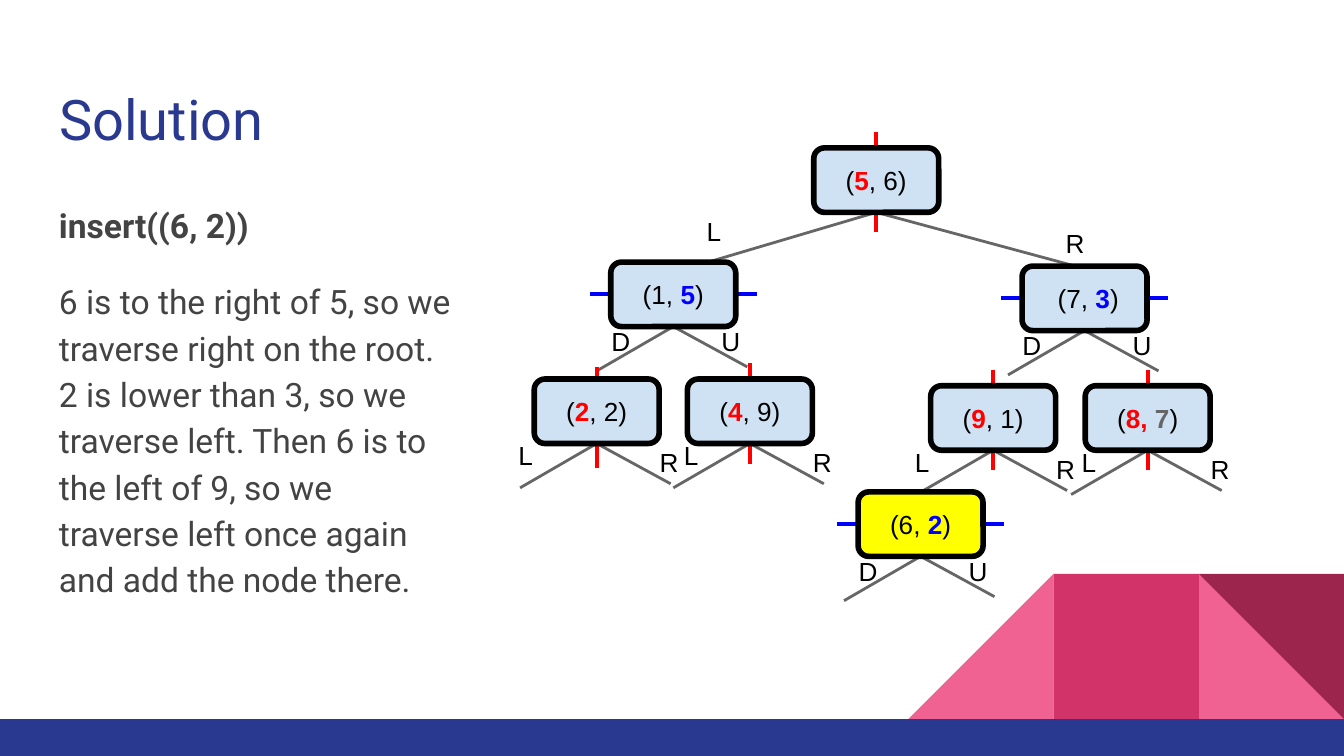
"""Build a slide that shows inserting a point into a k-d tree."""
from dataclasses import dataclass

from lxml.etree import SubElement
from pptx import Presentation
from pptx.dml.color import RGBColor
from pptx.enum.shapes import MSO_CONNECTOR, MSO_SHAPE
from pptx.enum.text import MSO_ANCHOR, MSO_AUTO_SIZE, PP_ALIGN
from pptx.oxml.ns import qn
from pptx.util import Inches, Pt


@dataclass(frozen=True)
class Theme:
    heading_font: str = "Roboto"
    tree_font: str = "Arial"
    heading_size: int = 30
    body_size: int = 18
    tree_size: int = 14
    navy: str = "2A3990"
    body: str = "434343"
    pink: str = "F06292"
    rose: str = "D23369"
    wine: str = "9C254D"
    ink: str = "000000"
    red: str = "FF0000"
    blue: str = "0000FF"
    gray: str = "666666"
    pale: str = "CFE2F3"
    yellow: str = "FFFF00"


@dataclass(frozen=True)
class Node:
    center: float
    top: float
    split: str
    point: tuple
    fill: str = Theme.pale
    left_caption: float = -0.68
    drop: float = 0


THEME = Theme()
WIDTH, HEIGHT = 10, 5.625
NODE_W, NODE_H = 0.93, 0.48
INSET = 0.1
CAPTION_W, CAPTION_H = 0.57, 0.33
TILE, FOOTER_TOP = 1.08, 5.35

TITLE = "Solution"
CALL = "insert((6, 2))"
EXPLANATION = (
    "6 is to the right of 5, so we traverse right on the root. "
    "2 is lower than 3, so we traverse left. Then 6 is to the left of 9, "
    "so we traverse left once again and add the node there."
)
NODES = [
    Node(6.52, 1.1, "root", (("(", "ink"), ("5", "red"), (", 6)", "ink"))),
    Node(8.07, 1.98, "y", ((" (7, ", "ink"), ("3", "blue"), (")", "ink"))),
    Node(5.01, 1.95, "y", (("(1, ", "ink"), ("5", "blue"), (")", "ink"))),
    Node(4.44, 2.82, "x", (("(", "ink"), ("2", "red"), (", 2)", "ink")), drop=0.03),
    Node(5.58, 2.82, "x", (("(", "ink"), ("4", "red"), (", 9)", "ink")), left_caption=-0.59),
    Node(7.39, 2.87, "x", (("(", "ink"), ("9", "red"), (", 1)", "ink"))),
    Node(8.54, 2.87, "x", (("(", "ink"), ("8, ", "red"), ("7", "gray"), (")", "ink")),
         left_caption=-0.59),
    Node(6.85, 3.66, "y", (("(6, ", "ink"), ("2", "blue"), (")", "ink")), THEME.yellow),
]
BRANCHES = {
    "root": ((-1.25, 0.37), (1.48, 0.4)),
    "x": ((-0.57, 0.33), (0.55, 0.3)),
    "y": ((-0.57, 0.33), (0.55, 0.3)),
}
CAPTIONS = {
    "root": (("L", -1.36, -0.08), ("R", 1.31, 0.01)),
    "x": (("L", None, -0.13), ("R", 0.37, -0.08)),
    "y": (("D", -0.56, -0.11), ("U", 0.26, -0.11)),
}


def rgb(color):
    return RGBColor.from_string(color)


def style(font, face, size, color):
    font.name, font.size = face, Pt(size)
    font.color.rgb = rgb(color)


def place(part, left, top, width, height):
    part.left, part.top = Inches(left), Inches(top)
    part.width, part.height = Inches(width), Inches(height)


def prepare(frame, anchor=MSO_ANCHOR.TOP):
    frame.word_wrap = True
    frame.auto_size = MSO_AUTO_SIZE.NONE
    frame.vertical_anchor = anchor
    frame.margin_left = frame.margin_right = Inches(INSET)
    frame.margin_top = frame.margin_bottom = Inches(INSET)
    return frame


def add_text(slide, left, top, width, height):
    box = slide.shapes.add_textbox(*map(Inches, (left, top, width, height)))
    return prepare(box.text_frame)


def add_block(slide, kind, left, top, width, height, fill):
    block = slide.shapes.add_shape(kind, *map(Inches, (left, top, width, height)))
    block.shadow.inherit = False
    block.fill.solid()
    block.fill.fore_color.rgb = rgb(fill)
    block.line.fill.background()
    return block


def add_line(slide, start, end, color, weight):
    line = slide.shapes.add_connector(MSO_CONNECTOR.STRAIGHT, *map(Inches, (*start, *end)))
    line.line.color.rgb = rgb(color)
    line.line.width = Pt(weight)
    SubElement(line._element.spPr, qn("a:effectLst"))


def add_decoration(slide):
    columns = [WIDTH - TILE * count for count in (3, 2, 1)]
    top = FOOTER_TOP - TILE
    triangle = MSO_SHAPE.RIGHT_TRIANGLE
    add_block(slide, triangle, columns[2], top, TILE, TILE, THEME.pink)
    rising = add_block(slide, triangle, columns[0], top, TILE, TILE, THEME.pink)
    rising._element.spPr.xfrm.set("flipH", "1")
    add_block(slide, MSO_SHAPE.RECTANGLE, columns[1], top, TILE, TILE, THEME.rose)
    add_block(slide, triangle, columns[2], top, TILE, TILE, THEME.wine).rotation = 180
    add_block(slide, MSO_SHAPE.RECTANGLE, 0, FOOTER_TOP, WIDTH, HEIGHT - FOOTER_TOP, THEME.navy)


def add_explanation(slide):
    frame = add_text(slide, 0.34, 1.38, 3.16, 3.61)
    call, explanation = frame.paragraphs[0], frame.add_paragraph()
    call.text, explanation.text = CALL, EXPLANATION
    for paragraph in (call, explanation):
        paragraph.line_spacing = 1.15
        style(paragraph.font, THEME.heading_font, THEME.body_size, THEME.body)
    call.font.bold = True
    explanation.space_before = explanation.space_after = Pt(16)


def add_split(slide, node):
    middle = node.top + NODE_H / 2
    if node.split == "y":
        start, end = (node.center - 0.62, middle), (node.center + 0.62, middle)
        color = THEME.blue
    else:
        start = node.center, node.top - 0.12 + node.drop
        end = node.center, node.top + NODE_H + 0.15 + node.drop
        color = THEME.red
    add_line(slide, start, end, color, 2.25)


def add_node(slide, node):
    bottom = node.top + NODE_H
    add_split(slide, node)
    for across, down in BRANCHES[node.split]:
        add_line(slide, (node.center, bottom), (node.center + across, bottom + down),
                 THEME.gray, 1.5)
    for label, across, down in CAPTIONS[node.split]:
        offset = node.left_caption if across is None else across
        frame = add_text(slide, node.center + offset, bottom + down, CAPTION_W, CAPTION_H)
        caption = frame.paragraphs[0]
        caption.text = label
        style(caption.font, THEME.tree_font, THEME.tree_size, THEME.ink)

    box = add_block(slide, MSO_SHAPE.ROUNDED_RECTANGLE, node.center - NODE_W / 2, node.top,
                    NODE_W, NODE_H, node.fill)
    box.line.color.rgb = rgb(THEME.ink)
    box.line.width = Pt(3)
    point = prepare(box.text_frame, MSO_ANCHOR.MIDDLE).paragraphs[0]
    point.alignment = PP_ALIGN.CENTER
    for text, color in node.point:
        run = point.add_run()
        run.text = text
        style(run.font, THEME.tree_font, THEME.tree_size, getattr(THEME, color))
        run.font.bold = color != "ink"


def main():
    deck = Presentation()
    deck.slide_width, deck.slide_height = Inches(WIDTH), Inches(HEIGHT)
    slide = deck.slides.add_slide(deck.slide_layouts[5])
    add_decoration(slide)
    title = slide.shapes.title
    place(title, 0.34, 0.49, 4.12, 0.77)
    heading = prepare(title.text_frame, MSO_ANCHOR.MIDDLE).paragraphs[0]
    heading.text, heading.alignment = TITLE, PP_ALIGN.LEFT
    style(heading.font, THEME.heading_font, THEME.heading_size, THEME.navy)
    add_explanation(slide)
    for node in NODES:
        add_node(slide, node)
    deck.save("out.pptx")


if __name__ == "__main__":
    main()
